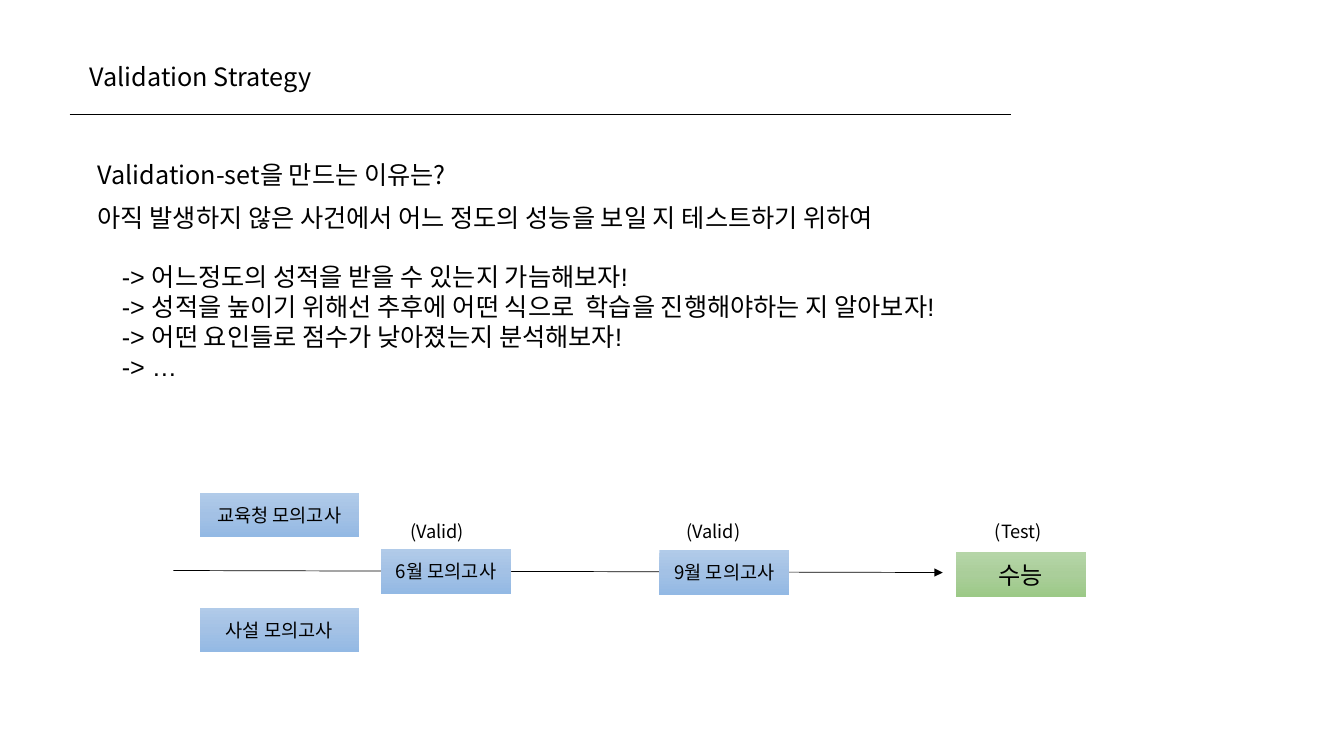
import copy

import pptx
import pptx.dml.color
import pptx.enum.shapes
import pptx.enum.text
import pptx.oxml
import pptx.oxml.ns
import pptx.util

PX = 9144
NOTO = "Noto Sans CJK KR"
ARIAL = "Arial"
BLACK = "000000"
BLUES = ("B1CBE9", "A3C1E5", "93B9E4")
GREENS = ("B5D5A7", "AACE9A", "9CC987")
ALIGN = pptx.enum.text.PP_ALIGN
ANCHOR = pptx.enum.text.MSO_ANCHOR


def px(*lengths):
    return [pptx.util.Emu(length * PX) for length in lengths]


def color(hex_string):
    return pptx.dml.color.RGBColor.from_string(hex_string)


def add_xml(parent, tag, **attributes):
    element = pptx.oxml.parse_xml(f"<a:{tag} {pptx.oxml.ns.nsdecls('a')}/>")
    for name, value in attributes.items():
        element.set(name, value)
    parent.append(element)


def write_text(shape, paragraphs, size=18, align=ALIGN.LEFT, anchor=ANCHOR.TOP):
    frame = shape.text_frame
    frame.word_wrap = True
    frame.auto_size = pptx.enum.text.MSO_AUTO_SIZE.NONE
    frame.vertical_anchor = anchor
    for index, runs in enumerate(paragraphs):
        paragraph = frame.add_paragraph() if index else frame.paragraphs[0]
        paragraph.alignment = align
        for text, font_name in runs:
            run = paragraph.add_run()
            run.text = text
            run.font.name = font_name
            run.font.size = pptx.util.Pt(size)
            run.font.color.rgb = color(BLACK)
            if font_name == NOTO:
                add_xml(run.font._element, "ea", typeface=NOTO)


def add_title(slide, text, left, top, width, height):
    title = slide.shapes.title
    title.left, title.top, title.width, title.height = px(left, top, width, height)
    write_text(title, [[(text, NOTO)]])


def add_text(slide, paragraphs, left, top, width, height, **text_format):
    box = slide.shapes.add_textbox(*px(left, top, width, height))
    write_text(box, paragraphs, **text_format)


def add_line(slide, start_x, start_y, end_x, end_y, arrow=False):
    connector = slide.shapes.add_connector(
        pptx.enum.shapes.MSO_CONNECTOR.STRAIGHT, *px(start_x, start_y, end_x, end_y)
    )
    connector.line.color.rgb = color(BLACK)
    connector.line.width = pptx.util.Pt(0.5)
    if arrow:
        add_xml(connector.line._get_or_add_ln(), "tailEnd", type="triangle")
    add_xml(connector._element.spPr, "effectLst")


def fill_gradient(shape, hex_colors):
    shape.fill.gradient()
    shape.fill.gradient_angle = 270
    first_stop = shape._element.spPr.find(".//" + pptx.oxml.ns.qn("a:gs"))
    first_stop.addnext(copy.deepcopy(first_stop))
    for index, stop in enumerate(shape.fill.gradient_stops):
        stop.position = index / 2
        stop.color.rgb = color(hex_colors[index])


def add_exam(slide, name, left, top, width, hex_colors=BLUES, size=13.3):
    exam = slide.shapes.add_shape(
        pptx.enum.shapes.MSO_SHAPE.RECTANGLE, *px(left, top, width, 44)
    )
    exam.shadow.inherit = False
    exam.line.fill.background()
    fill_gradient(exam, hex_colors)
    write_text(exam, [[(name, NOTO)]], size=size, align=ALIGN.CENTER, anchor=ANCHOR.MIDDLE)


def main():
    presentation = pptx.Presentation()
    presentation.slide_width, presentation.slide_height = px(1333, 750)
    slide = presentation.slides.add_slide(presentation.slide_layouts[5])

    add_title(slide, "Validation Strategy", 79, 56, 306, 40)
    add_line(slide, 69, 113, 1003, 113)

    question = [("Validation-set", NOTO), ("을 만드는 이유는", ARIAL), ("?", NOTO)]
    add_text(slide, [question], 87, 153, 557, 40)
    answer = "아직 발생하지 않은 사건에서 어느 정도의 성능을 보일 지 테스트하기 위하여"
    add_text(slide, [[(answer, ARIAL)]], 87, 196, 1192, 40)
    goals = (
        "-> 어느정도의 성적을 받을 수 있는지 가늠해보자!",
        "-> 성적을 높이기 위해선 추후에 어떤 식으로  학습을 진행해야하는 지 알아보자!",
        "-> 어떤 요인들로 점수가 낮아졌는지 분석해보자!",
        "-> …",
    )
    add_text(slide, [[(goal, ARIAL)] for goal in goals], 111, 254, 1192, 131)

    add_line(slide, 172, 566, 935, 568, arrow=True)
    for label, left in (("(Valid)", 397), ("(Valid)", 671), ("(Test)", 977)):
        add_text(slide, [[(label, NOTO)]], left, 511, 176, 32, size=13)
    add_exam(slide, "교육청 모의고사", 198, 489, 158)
    add_exam(slide, "사설 모의고사", 198, 603, 158)
    add_exam(slide, "6월 모의고사", 378, 545, 129)
    add_exam(slide, "9월 모의고사", 654, 546, 129)
    add_exam(slide, "수능", 948, 548, 129, hex_colors=GREENS, size=17.3)

    presentation.save("out.pptx")


if __name__ == "__main__":
    main()
